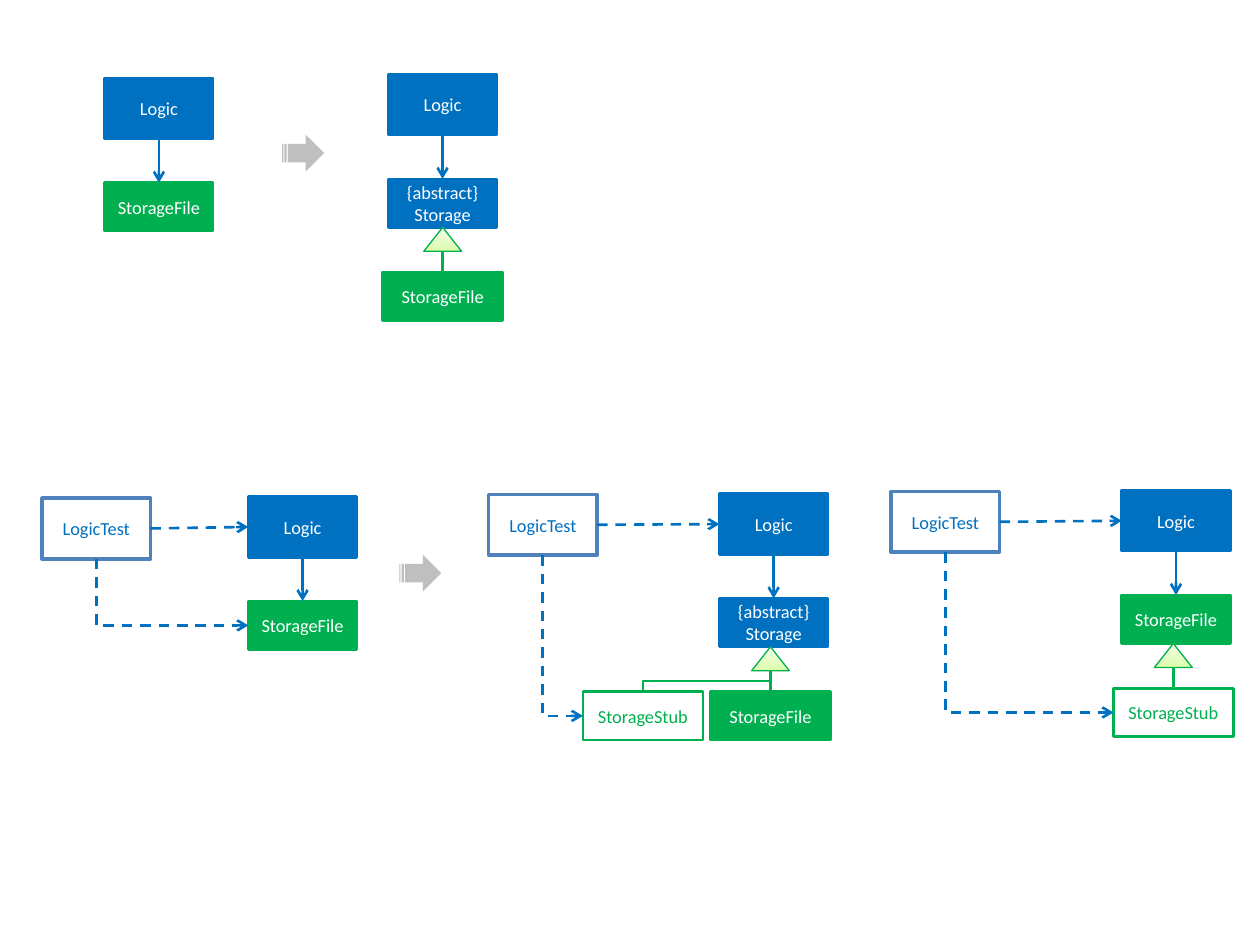
"""Build a slide of class diagrams showing how Logic is decoupled from StorageFile."""
import copy
from dataclasses import dataclass

import pptx
import pptx.dml.color
import pptx.enum.dml
import pptx.enum.shapes
import pptx.enum.text
import pptx.oxml
import pptx.oxml.ns
import pptx.util

Pt = pptx.util.Pt
SHAPE = pptx.enum.shapes.MSO_SHAPE
CONNECTOR = pptx.enum.shapes.MSO_CONNECTOR


@dataclass(frozen=True)
class Theme:
    blue: str = "0070C0"
    green: str = "00B050"
    frame: str = "4F81BD"
    white: str = "FFFFFF"
    grey: str = "BFBFBF"
    tints: tuple = ((0, "DAFDA7"), (0.35, "E4FCC2"), (1, "F5FFE7"))
    font: str = "Calibri"
    size: float = 10.5
    line: float = 1.5
    frame_line: float = 2
    thin: float = 0.75


def rgb(value):
    return pptx.dml.color.RGBColor.from_string(value)


class Diagram:
    WIDTH, WIDE = 62, 68.6
    TALL, SHORT = 34.8, 27.7
    STORAGE_DROP, CHILD_GAP = 59.8, 25.6
    HEAD_W, HEAD_H = 21.6, 13.7

    def __init__(self, s, theme):
        self.s, self.theme = s, theme

    def shape(self, kind, x, y, w, h, fill, line=None, width=None):
        sp = self.s.shapes.add_shape(kind, Pt(x), Pt(y), Pt(w), Pt(h))
        sp.shadow.inherit = False
        if fill:
            sp.fill.solid()
            sp.fill.fore_color.rgb = rgb(fill)
        else:
            sp.fill.background()
        if line:
            sp.line.color.rgb = rgb(line)
            sp.line.width = Pt(width or self.theme.line)
        else:
            sp.line.fill.background()
        return sp

    def box(self, text, x, y, w, h, fill, line, color, width=None):
        sp = self.shape(SHAPE.RECTANGLE, x, y, w, h, fill, line, width)
        tf = sp.text_frame
        tf.word_wrap = True
        tf.margin_left = tf.margin_right = Pt(2)
        tf.vertical_anchor = pptx.enum.text.MSO_ANCHOR.MIDDLE
        p = tf.paragraphs[0]
        p.text = text
        p.alignment = pptx.enum.text.PP_ALIGN.CENTER
        p.font.name = self.theme.font
        p.font.size = Pt(self.theme.size)
        p.font.color.rgb = rgb(color)
        return sp

    def line(self, start, end, color, kind=CONNECTOR.STRAIGHT, dash=False, arrow=False):
        cn = self.s.shapes.add_connector(kind, *(Pt(v) for v in (*start, *end)))
        cn.line.color.rgb = rgb(color)
        cn.line.width = Pt(self.theme.line)
        if dash:
            cn.line.dash_style = pptx.enum.dml.MSO_LINE.DASH
        if arrow:
            tail = pptx.oxml.parse_xml(
                f'<a:tailEnd {pptx.oxml.ns.nsdecls("a")} type="arrow"/>')
            cn.line._get_or_add_ln().append(tail)
        cn._element.spPr.append(pptx.oxml.parse_xml(
            f'<a:effectLst {pptx.oxml.ns.nsdecls("a")}/>'))
        return cn

    def elbow(self, start, end, color, preset, degrees, flip=False, **style):
        cx, cy = (start[0] + end[0]) / 2, (start[1] + end[1]) / 2
        w, h = abs(end[1] - start[1]) / 2, abs(end[0] - start[0]) / 2
        w = -w if flip else w
        cn = self.line((cx - w, cy - h), (cx + w, cy + h), color, CONNECTOR.ELBOW, **style)
        cn._element.spPr.xfrm.set("rot", str(degrees * 60000))
        cn._element.spPr.prstGeom.set("prst", preset)

    def link(self, a, a_site, b, b_site, dash=False):
        cn = self.line((0, 0), (1, 1), self.theme.blue, dash=dash, arrow=True)
        cn.begin_connect(a, a_site)
        cn.end_connect(b, b_site)

    def column(self, x, y, storage, color):
        t = self.theme
        logic = self.box("Logic", x, y, self.WIDTH, self.TALL, t.blue, t.blue, t.white)
        store = self.box(storage, x, y + self.STORAGE_DROP, self.WIDTH, self.SHORT,
                         color, color, t.white)
        self.link(logic, 2, store, 0)
        return logic, store

    def child(self, text, x, parent, filled):
        t = self.theme
        y = (parent.top + parent.height).pt + self.CHILD_GAP if hasattr(
            parent.top + parent.height, "pt") else (parent.top + parent.height) / Pt(1) + self.CHILD_GAP
        fill, color = (t.green, t.white) if filled else (None, t.green)
        return self.box(text, x, y, self.WIDE, self.SHORT, fill, t.green, color)

    def inherit(self, child):
        t = self.theme
        x = child.left / Pt(1) + self.WIDE / 2
        bottom = child.top / Pt(1)
        top = bottom - self.CHILD_GAP
        sp = self.shape(SHAPE.ISOSCELES_TRIANGLE, x - self.HEAD_W / 2, top,
                        self.HEAD_W, self.HEAD_H, None, t.green, t.thin)
        sp.fill.gradient()
        sp.fill.gradient_angle = 90
        stops = sp._element.spPr.find(".//" + pptx.oxml.ns.qn("a:gsLst"))
        stops.insert(1, copy.deepcopy(stops[0]))
        for stop, (position, color) in zip(sp.fill.gradient_stops, t.tints):
            stop.position = position
            stop.color.rgb = rgb(color)
        joint = (x, top + self.HEAD_H)
        self.line(joint, (x, bottom), t.green)
        return joint

    def tester(self, x, y, logic, target):
        t = self.theme
        test = self.box("LogicTest", x, y, self.WIDTH, self.TALL, t.white, t.frame,
                        t.blue, t.frame_line)
        self.link(test, 3, logic, 1, dash=True)
        start = (x + self.WIDTH / 2, y + self.TALL)
        end = (target.left / Pt(1), (target.top + target.height / 2) / Pt(1))
        self.elbow(start, end, t.blue, "bentConnector2", 270, True, dash=True, arrow=True)

    def step(self, x, y):
        self.shape(SHAPE.STRIPED_RIGHT_ARROW, x, y, 24, 21, self.theme.grey)


def main():
    prs = pptx.Presentation()
    prs.slide_width, prs.slide_height = Pt(720), Pt(540)
    theme = Theme()
    d = Diagram(prs.slides.add_slide(prs.slide_layouts[6]), theme)
    abstract = "{abstract}\vStorage"

    d.column(59.8, 44.6, "StorageFile", theme.green)
    d.step(161.2, 77)
    logic, store = d.column(221.9, 42.4, abstract, theme.blue)
    d.inherit(d.child("StorageFile", 218.7, store, True))

    logic, store = d.column(141.9, 283.7, "StorageFile", theme.green)
    d.tester(24, 284.6, logic, store)
    d.step(228.2, 317)

    logic, store = d.column(411.1, 282.1, abstract, theme.blue)
    stub = d.child("StorageStub", 333.1, store, False)
    joint = d.inherit(d.child("StorageFile", 406, store, True))
    d.elbow(joint, (stub.left / Pt(1) + d.WIDE / 2, stub.top / Pt(1)),
            theme.green, "bentConnector3", 90)
    d.tester(279.2, 282.5, logic, stub)

    logic, store = d.column(641, 280.2, "StorageFile", theme.green)
    stub = d.child("StorageStub", 636.2, store, False)
    d.inherit(stub)
    d.tester(509.2, 280.8, logic, stub)

    prs.save("out.pptx")


main()
